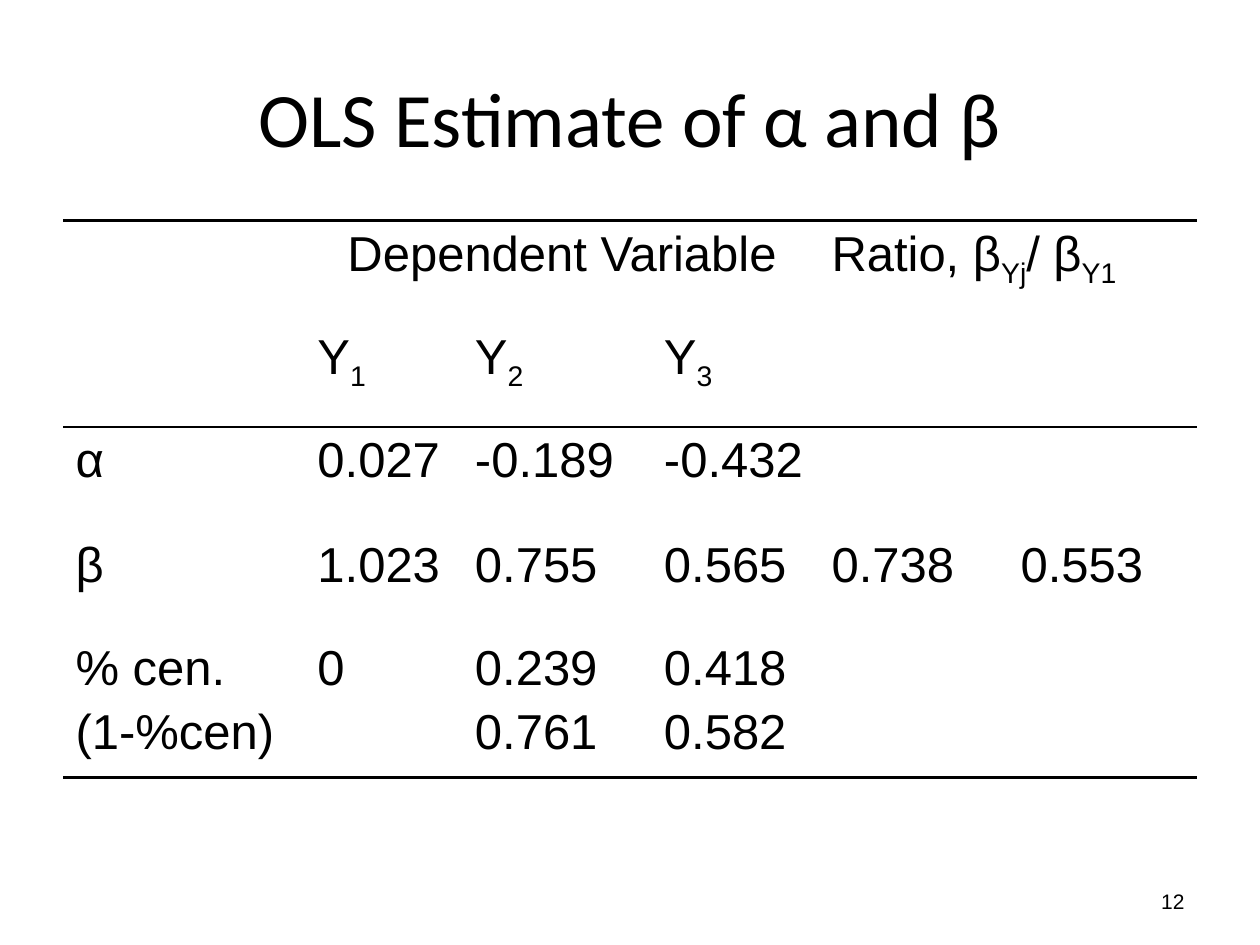
from dataclasses import dataclass

from lxml import etree
from pptx import Presentation, util as u
from pptx.dml.color import RGBColor
from pptx.enum import text
from pptx.oxml import ns


@dataclass(frozen=True)
class Theme:
    ink: str = "000000"
    heading_font: str = "Calibri"
    body_font: str = "Arial"
    title: int = 44
    body: int = 28
    number: int = 12
    gap: float = 5.6
    thick: float = 2.25
    thin: float = 1


theme = Theme()


def add_run(paragraph, words, size, font, subscript=False):
    run = paragraph.add_run()
    run.text = words
    run.font.size = u.Pt(size)
    run.font.name = font
    run.font.color.rgb = RGBColor.from_string(theme.ink)
    if subscript:
        run.font._element.set("baseline", "-25000")


def set_border(cell, side, points):
    """Rule one side (L, R, T or B) of a cell; zero points means no line."""
    line = etree.SubElement(cell._tc.get_or_add_tcPr(), ns.qn(f"a:ln{side}"))
    if points:
        line.set("w", str(u.Pt(points)))
        fill = etree.SubElement(line, ns.qn("a:solidFill"))
        etree.SubElement(fill, ns.qn("a:srgbClr"), val=theme.ink)
    else:
        etree.SubElement(line, ns.qn("a:noFill"))


deck = Presentation()
deck.slide_width, deck.slide_height = u.Inches(10), u.Inches(7.5)
slide = deck.slides.add_slide(deck.slide_layouts[6])

# Slide number and title
captions = [
    ("12", (7.17, 6.95, 2.33, 0.4), text.PP_ALIGN.RIGHT, theme.number, theme.body_font),
    ("OLS Estimate of α and β", (0.5, 0.3, 9, 1.25), text.PP_ALIGN.CENTER,
     theme.title, theme.heading_font),
]
for words, place, align, size, font in captions:
    frame = slide.shapes.add_textbox(*map(u.Inches, place)).text_frame
    frame.word_wrap = True
    frame.vertical_anchor = text.MSO_ANCHOR.MIDDLE
    frame.paragraphs[0].alignment = align
    add_run(frame.paragraphs[0], words, size, font)

# Each cell lists its paragraphs; "_" switches subscript on and off.
estimates = [
    [[], ["Dependent Variable"], [], [], ["Ratio, β_Yj_/ β_Y1"], []],
    [[], ["Y_1"], ["Y_2"], ["Y_3"], [], []],
    [["α"], ["0.027"], ["-0.189"], ["-0.432"], [], []],
    [["β"], ["1.023"], ["0.755"], ["0.565"], ["0.738"], ["0.553"]],
    [["% cen.", "(1-%cen)"], ["0"], ["0.239", "0.761"], ["0.418", "0.582"], [], []],
]
column_widths = [1.92, 1.25, 1.5, 1.33, 1.5, 1.5]
row_heights = [0.82, 0.82, 0.83, 0.82, 1.13]
rules = [theme.thick, 0, theme.thin, 0, 0, theme.thick]  # from top to bottom edge

table = slide.shapes.add_table(
    len(row_heights), len(column_widths),
    u.Inches(0.5), u.Inches(1.75), u.Inches(9), u.Inches(4.43)).table
table.first_row = table.horz_banding = False
for column, width in zip(table.columns, column_widths):
    column.width = u.Inches(width)
for row, height in zip(table.rows, row_heights):
    row.height = u.Inches(height)
table.cell(0, 1).merge(table.cell(0, 3))
table.cell(0, 4).merge(table.cell(0, 5))

for r, row in enumerate(estimates):
    for c, lines in enumerate(row):
        cell = table.cell(r, c)
        for side, points in zip("LRTB", (0, 0, rules[r], rules[r + 1])):
            set_border(cell, side, points)
        cell.fill.background()
        for i, line in enumerate(lines):
            frame = cell.text_frame
            paragraph = frame.add_paragraph() if i else frame.paragraphs[0]
            paragraph.space_before = u.Pt(theme.gap)
            for part, words in enumerate(line.split("_")):
                add_run(paragraph, words, theme.body, theme.body_font, part % 2 == 1)
table.cell(0, 1).text_frame.paragraphs[0].alignment = text.PP_ALIGN.CENTER

deck.save("out.pptx")
